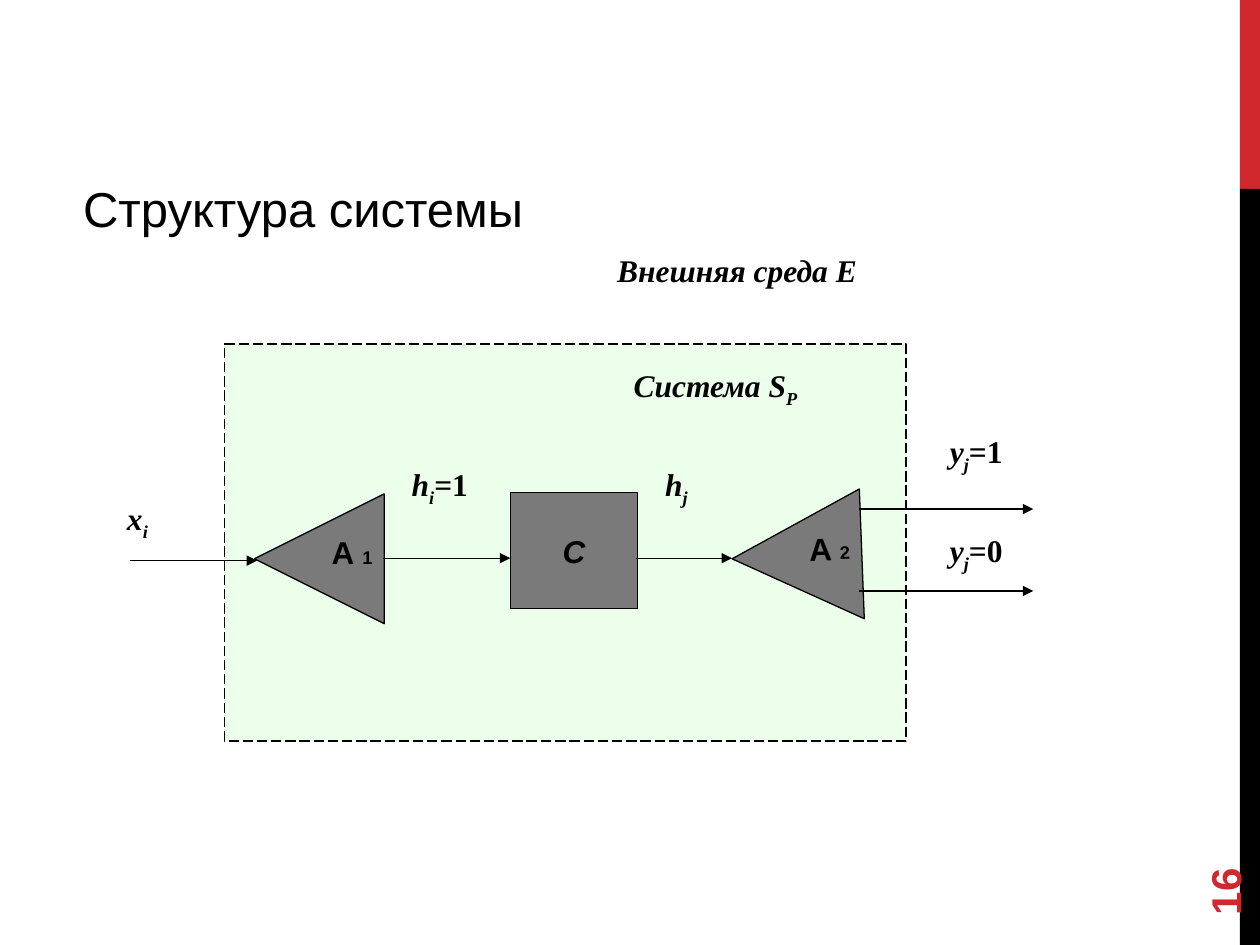
from dataclasses import dataclass

from lxml import etree
from pptx import Presentation
from pptx.dml.color import RGBColor
from pptx.enum import dml, shapes, text
from pptx.oxml import ns
from pptx.util import Pt

BLACK = RGBColor(0x00, 0x00, 0x00)
RED = RGBColor(0xD1, 0x28, 0x2E)
GREY = RGBColor(0x7A, 0x7A, 0x7A)
PALE_GREEN = RGBColor(0xCC, 0xFF, 0xCC)
SANS, SERIF = "Arial", "Times New Roman"
RECTANGLE = shapes.MSO_SHAPE.RECTANGLE
TRIANGLE = shapes.MSO_SHAPE.ISOSCELES_TRIANGLE


@dataclass
class Box:
    left: float
    top: float
    width: float
    height: float

    def lengths(self):
        return [Pt(v) for v in (self.left, self.top, self.width, self.height)]


@dataclass
class Label:
    """A symbol, its subscript and the upright value after it."""
    box: Box
    symbol: str
    subscript: str = ""
    value: str = ""


@dataclass
class Amplifier:
    box: Box
    rotation: float
    number: str


@dataclass
class Arrow:
    start_x: float
    end_x: float
    y: float


SYSTEM = Box(128.2, 196.6, 389.5, 226.8)
CONTROLLER = Box(291.6, 281.5, 72.7, 66.2)
AMPLIFIERS = [
    Amplifier(Box(145.4, 282.2, 74.2, 74.2), 270, "1"),
    Amplifier(Box(418.3, 280.8, 74.2, 74.2), 267.8, "2"),
]
ARROWS = [
    Arrow(74.2, 146.9, 320.4),
    Arrow(218.9, 291.6, 319),
    Arrow(363.6, 418.3, 319),
    Arrow(491, 590.4, 290.9),
    Arrow(491, 590.4, 337.7),
]
LABELS = [
    Label(Box(355, 205.9, 162.7, 28.8), "Система S", "P"),
    Label(Box(345.6, 139.7, 190, 28.8), "Внешняя среда Е"),
    Label(Box(65.5, 281.5, 45.4, 28.8), "x", "i"),
    Label(Box(228.2, 262, 81.4, 28.8), "h", "i", "=1"),
    Label(Box(373, 262, 45.4, 28.8), "h", "j"),
    Label(Box(535.7, 243.4, 90.7, 28.8), "y", "j", "=1"),
    Label(Box(535.7, 300.2, 72.7, 28.8), "y", "j", "=0"),
]


def style_font(font, name: str, size: float, color=BLACK, bold=True) -> None:
    font.name, font.size, font.bold = name, Pt(size), bold
    font.color.rgb = color


def add_subscript(paragraph, subscript: str):
    run = paragraph.add_run()
    run.text = subscript
    run.font._element.set("baseline", "-25000")
    return run


def add_block(slide, kind, box: Box, fill: RGBColor, outlined=True):
    shape = slide.shapes.add_shape(kind, *box.lengths())
    shape.shadow.inherit = False
    shape.fill.solid()
    shape.fill.fore_color.rgb = fill
    if outlined:
        shape.line.color.rgb = BLACK
        shape.line.width = Pt(0.75)
    else:
        shape.line.fill.background()
    return shape


def add_system_frame(slide) -> None:
    frame = add_block(slide, RECTANGLE, SYSTEM, PALE_GREEN)
    frame.line.dash_style = dml.MSO_LINE.LONG_DASH
    color = frame._element.spPr.find(ns.qn("a:solidFill"))[0]
    etree.SubElement(color, ns.qn("a:alpha"), val="39000")


def add_amplifier(slide, amplifier: Amplifier) -> None:
    shape = add_block(slide, TRIANGLE, amplifier.box, GREY)
    shape.rotation = amplifier.rotation
    frame = shape.text_frame
    frame.vertical_anchor = text.MSO_ANCHOR.TOP
    frame._txBody.bodyPr.set("vert", "eaVert")
    paragraph = frame.paragraphs[0]
    paragraph.alignment = text.PP_ALIGN.LEFT
    paragraph.space_after = Pt(18)
    style_font(paragraph.font, SANS, 18)
    paragraph.add_run().text = "А"
    add_subscript(paragraph, amplifier.number)


def add_controller(slide) -> None:
    shape = add_block(slide, RECTANGLE, CONTROLLER, GREY)
    paragraph = shape.text_frame.paragraphs[0]
    paragraph.text = "C"
    paragraph.alignment = text.PP_ALIGN.CENTER
    style_font(paragraph.font, SANS, 18)
    paragraph.font.italic = True


def add_arrow(slide, arrow: Arrow) -> None:
    y = Pt(arrow.y)
    connector = slide.shapes.add_connector(
        shapes.MSO_CONNECTOR.STRAIGHT, Pt(arrow.start_x), y, Pt(arrow.end_x), y)
    connector.line.color.rgb = BLACK
    connector.line.width = Pt(0.75)
    etree.SubElement(connector.line._get_or_add_ln(), ns.qn("a:tailEnd"), type="triangle")
    etree.SubElement(connector._element.spPr, ns.qn("a:effectLst"))


def add_label(slide, label: Label) -> None:
    frame = slide.shapes.add_textbox(*label.box.lengths()).text_frame
    frame.word_wrap = True
    paragraph = frame.paragraphs[0]
    style_font(paragraph.font, SERIF, 18)
    symbol = paragraph.add_run()
    symbol.text = label.symbol
    symbol.font.italic = True
    if label.subscript:
        add_subscript(paragraph, label.subscript).font.italic = True
    if label.value:
        paragraph.add_run().text = label.value


def add_title(slide) -> None:
    title = slide.shapes.title
    title.left, title.top, title.width, title.height = Box(40.3, 98.6, 600, 43).lengths()
    frame = title.text_frame
    frame.vertical_anchor = text.MSO_ANCHOR.TOP
    paragraph = frame.paragraphs[0]
    paragraph.text = "Структура системы"
    paragraph.alignment = text.PP_ALIGN.LEFT
    style_font(paragraph.font, SANS, 28, bold=False)


def add_slide_number(slide) -> None:
    box = slide.shapes.add_textbox(*Box(648, 463.7, 103.7, 28.8).lengths())
    box.rotation = 270
    frame = box.text_frame
    frame.word_wrap = True
    frame.vertical_anchor = text.MSO_ANCHOR.MIDDLE
    paragraph = frame.paragraphs[0]
    paragraph.text = "16"
    style_font(paragraph.font, SANS, 24, RED)


def main() -> None:
    presentation = Presentation()
    presentation.slide_width, presentation.slide_height = Pt(720), Pt(540)
    slide = presentation.slides.add_slide(presentation.slide_layouts[5])

    add_block(slide, RECTANGLE, Box(708.5, 0, 11.5, 108), RED, outlined=False)
    add_block(slide, RECTANGLE, Box(708.5, 108, 11.5, 432), BLACK, outlined=False)
    add_system_frame(slide)
    for amplifier in AMPLIFIERS:
        add_amplifier(slide, amplifier)
    add_controller(slide)
    for arrow in ARROWS:
        add_arrow(slide, arrow)
    for label in LABELS:
        add_label(slide, label)
    add_title(slide)
    add_slide_number(slide)
    presentation.save("out.pptx")


if __name__ == "__main__":
    main()
